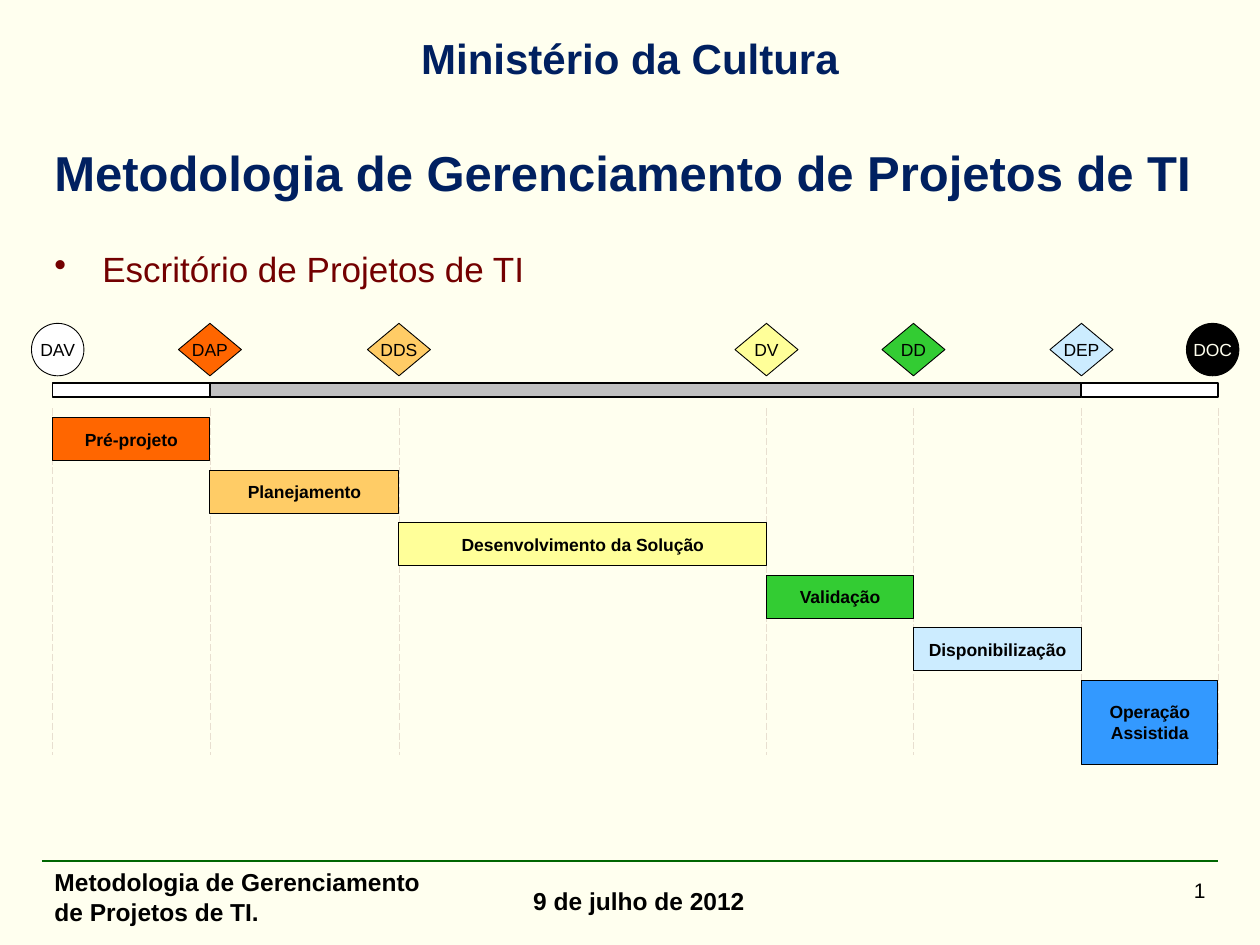
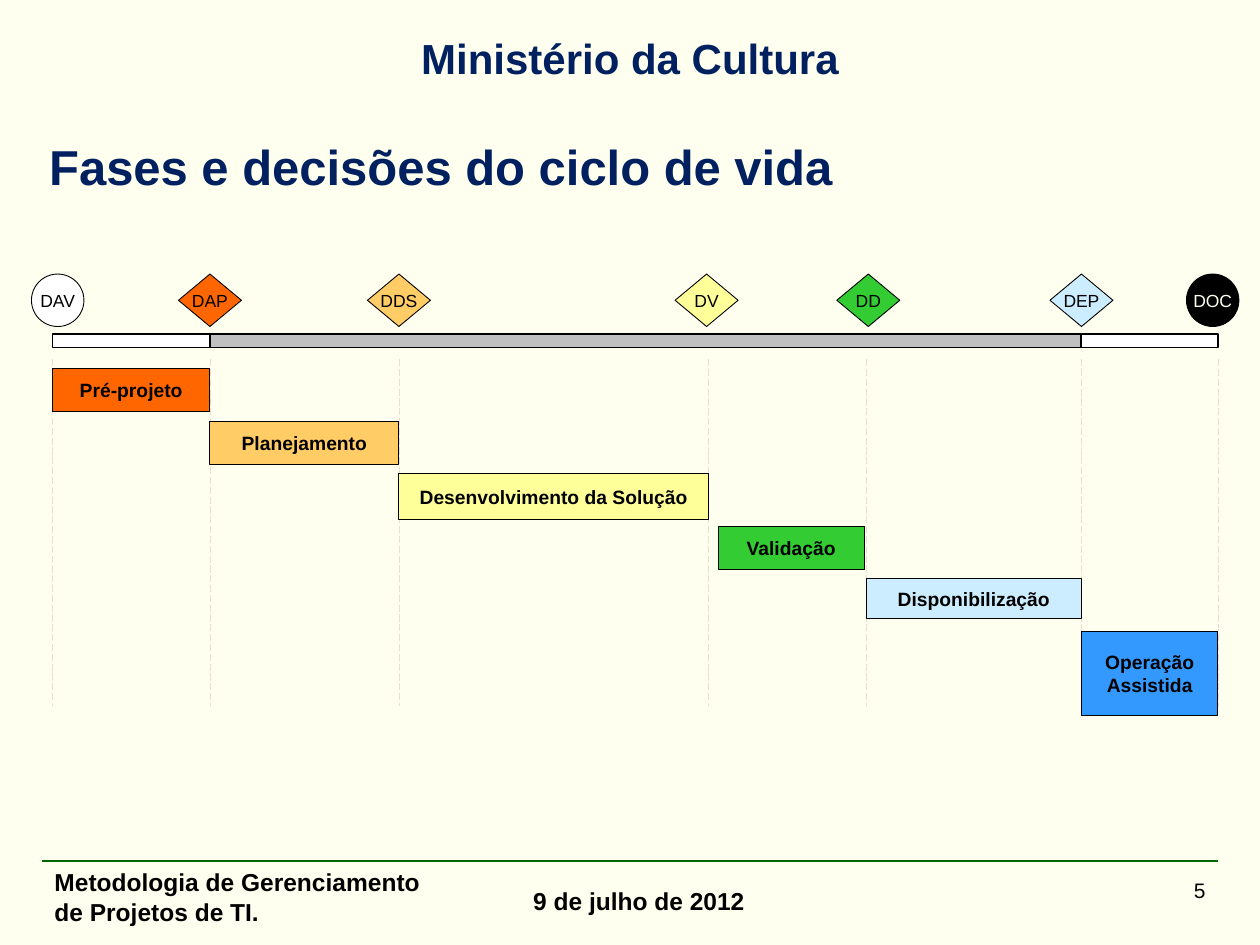
from lxml.etree import SubElement
from pptx import Presentation
from pptx.dml.color import RGBColor
from pptx.enum.dml import MSO_LINE
from pptx.enum.shapes import MSO_CONNECTOR, MSO_SHAPE
from pptx.enum.text import MSO_ANCHOR, PP_ALIGN
from pptx.oxml.ns import qn
from pptx.util import Inches, Pt

FONT = "Arial"
COLS, ROWS = 120, 90  # grid of the slide; every length below is in its cells
CELL = Inches(10) / COLS

HEX = {
    "paper": "FFFFEF", "navy": "002060", "wine": "730000", "rule": "006600",
    "dash": "E8DFD0", "grey": "C0C0C0", "white": "FFFFFF", "black": "000000",
    "orange": "FF6600", "amber": "FFCC66", "yellow": "FFFF99",
    "green": "33CC33", "ice": "CCECFF", "blue": "3399FF",
}

AGENCY = "Ministério da Cultura"
DATE = "9 de julho de 2012"
FOOTER = "Metodologia de Gerenciamento de Projetos de TI."

PHASES = [
    ("Pré-projeto", "orange"),
    ("Planejamento", "amber"),
    ("Desenvolvimento da Solução", "yellow"),
    ("Validação", "green"),
    ("Disponibilização", "ice"),
    ("Operação Assistida", "blue"),
]
GATES = [("DAP", "orange"), ("DDS", "amber"), ("DV", "yellow"),
         ("DD", "green"), ("DEP", "ice")]
ENDS = [("DAV", "white", "black", 3), ("DOC", "black", "paper", 113)]

# stops: phase limits; gates: centres of the diamonds;
# spans and tall: phases (by index) that leave the regular limits or height
SLIDES = [
    dict(title="Metodologia de Gerenciamento de Projetos de TI",
         place=(4, 13.4), bullet="Escritório de Projetos de TI",
         page="1", foot=38, top=30.8, size=10,
         stops=[5, 20, 38, 73, 87, 103, 116],
         gates=[20, 38, 73, 87, 103],
         spans={}, tall={5: 8}),
    dict(title="Fases e decisões do ciclo de vida",
         place=(3.5, 12.8), bullet=None,
         page="5", foot=40, top=26.1, size=11,
         stops=[5, 20, 38, 67.5, 82.5, 103, 116],
         gates=[20, 38, 67.3, 82.7, 103],
         spans={3: (68.4, 82.3)}, tall={2: 4.4, 4: 3.8, 5: 8}),
]


def cells(*nums):
    return [round(n * CELL) for n in nums]


def rgb(name):
    return RGBColor.from_string(HEX[name])


def write(shape, text, size=10, color="black", bold=False,
          align=PP_ALIGN.LEFT, anchor=MSO_ANCHOR.TOP, wrap=True, bullet=False):
    frame = shape.text_frame
    frame.word_wrap = wrap
    frame.vertical_anchor = anchor
    para = frame.paragraphs[0]
    para.alignment = align
    run = para.add_run()
    run.text = text
    font = run.font
    font.name, font.size, font.bold = FONT, Pt(size), bold
    font.color.rgb = rgb(color)
    if bullet:
        props = para._p.get_or_add_pPr()
        indent = Inches(0.38)
        props.set("marL", str(indent))
        props.set("indent", str(-indent))
        SubElement(props, qn("a:buChar")).set("char", "•")
    return frame


def label(slide, box, text, **style):
    return write(slide.shapes.add_textbox(*cells(*box)), text, **style)


def block(slide, box, fill, kind=MSO_SHAPE.RECTANGLE, weight=0.5):
    shape = slide.shapes.add_shape(kind, *cells(*box))
    shape.shadow.inherit = False
    shape.fill.solid()
    shape.fill.fore_color.rgb = rgb(fill)
    shape.line.color.rgb = rgb("black")
    shape.line.width = Pt(weight)
    return shape


def rule(slide, ends, color, weight, dash=None):
    link = slide.shapes.add_connector(MSO_CONNECTOR.STRAIGHT, *cells(*ends))
    link.line.color.rgb = rgb(color)
    link.line.width = Pt(weight)
    if dash:
        link.line.dash_style = dash
    SubElement(link._element.spPr, qn("a:effectLst"))


def frame_page(slide, page):
    """Draw the background, heading, title and footer."""
    slide.background.fill.solid()
    slide.background.fill.fore_color.rgb = rgb("paper")
    rule(slide, (4, 82, 116, 82), "rule", 0.75)
    label(slide, (49.6, 83.8, 26.4, 4.7), DATE, size=14, bold=True)
    label(slide, (5.6, 2.5, 108.8, 6), AGENCY, size=24, color="navy",
          bold=True, align=PP_ALIGN.CENTER)
    label(slide, (*page["place"], 112, 6), page["title"], size=28,
          color="navy", bold=True, anchor=MSO_ANCHOR.MIDDLE)
    label(slide, (4, 82, page["foot"], 6), FOOTER, size=14, bold=True)
    label(slide, (91, 83, 25, 6), page["page"], size=12, align=PP_ALIGN.RIGHT)
    if page["bullet"]:
        label(slide, (4, 23, 112, 6), page["bullet"], size=20,
              color="wine", bullet=True)


def gate(slide, box, text, fill, kind, color="black"):
    frame = write(block(slide, box, fill, kind), text, color=color, wrap=False,
                  align=PP_ALIGN.CENTER, anchor=MSO_ANCHOR.MIDDLE)
    frame.margin_left = frame.margin_right = 0


def draw_cycle(slide, page):
    """Draw the time bar, its decision gates and the staircase of phases."""
    top, stops = page["top"], page["stops"]

    for x in stops:
        rule(slide, (x, top + 8.1, x, top + 41.1), "dash", 0.5,
             MSO_LINE.LONG_DASH)

    for i, (name, fill) in enumerate(PHASES):
        left, right = page["spans"].get(i, (stops[i], stops[i + 1]))
        box = (left, top + 9 + 5 * i, right - left, page["tall"].get(i, 4.1))
        write(block(slide, box, fill), name, size=page["size"], bold=True,
              align=PP_ALIGN.CENTER, anchor=MSO_ANCHOR.MIDDLE)

    for a, b, fill in ((1, 5, "grey"), (0, 1, "white"), (5, 6, "white")):
        box = (stops[a], top + 5.7, stops[b] - stops[a], 1.3)
        block(slide, box, fill, weight=1)

    for (name, fill), x in zip(GATES, page["gates"]):
        gate(slide, (x - 3, top, 6, 5), name, fill, MSO_SHAPE.DIAMOND)
    for name, fill, color, x in ENDS:
        gate(slide, (x, top, 5, 5), name, fill, MSO_SHAPE.OVAL, color)


def main():
    deck = Presentation()
    deck.slide_width, deck.slide_height = cells(COLS, ROWS)
    for page in SLIDES:
        slide = deck.slides.add_slide(deck.slide_layouts[6])
        frame_page(slide, page)
        draw_cycle(slide, page)
    deck.save("out.pptx")


if __name__ == "__main__":
    main()
